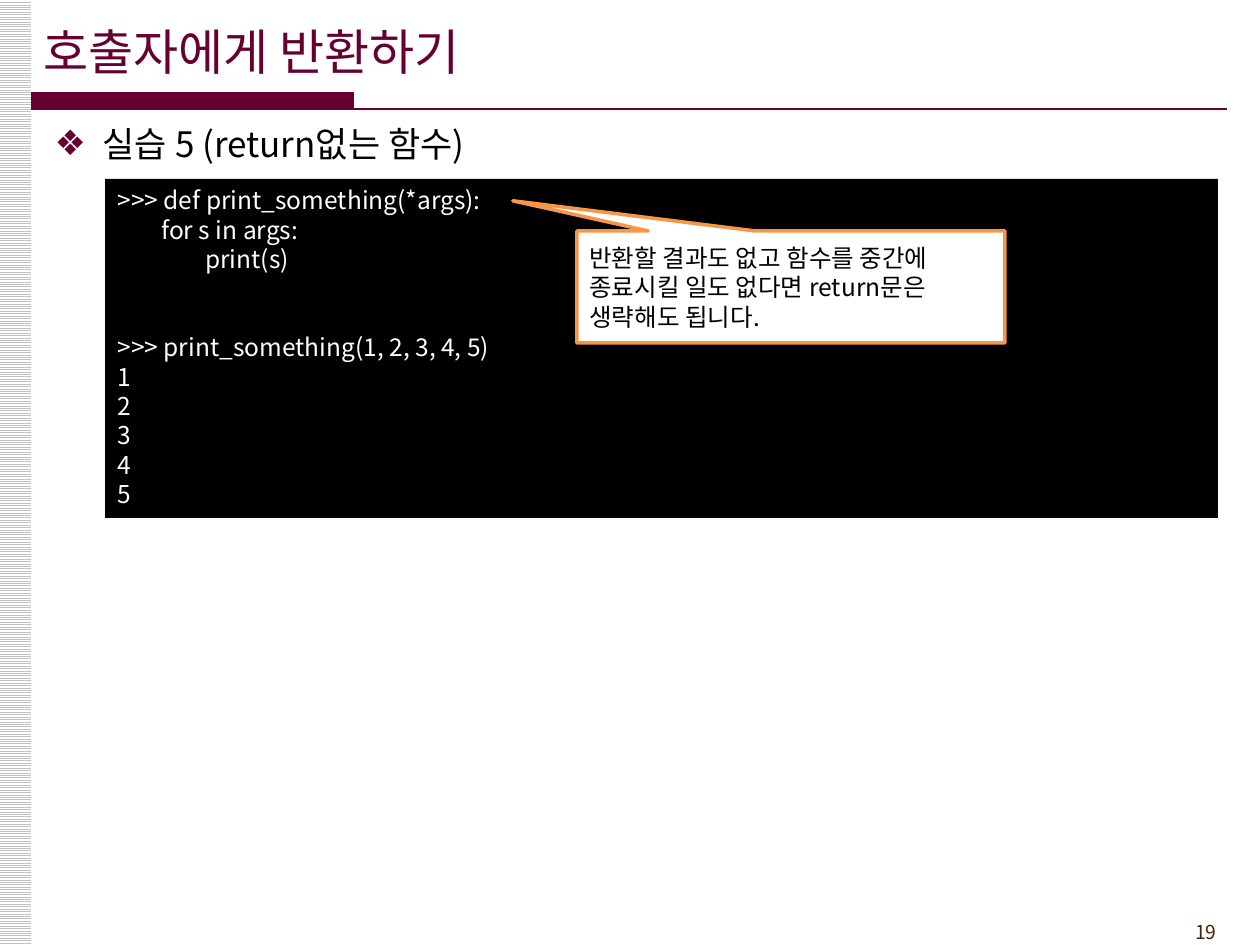
from lxml.etree import SubElement
from pptx import Presentation
from pptx.dml.color import RGBColor
from pptx.enum.dml import MSO_PATTERN
from pptx.enum.shapes import MSO_CONNECTOR, MSO_SHAPE
from pptx.enum.text import MSO_ANCHOR, MSO_AUTO_SIZE, PP_ALIGN
from pptx.oxml.ns import qn
from pptx.util import Emu, Pt

PX_PER_INCH = 126
FONT = "Noto Sans CJK KR"
LINE_HEIGHT = 1.2
WINE, ORANGE, BLACK, WHITE = "660033", "F79646", "000000", "FFFFFF"

# Each code line with the number of empty lines above it
CODE = [
    (">>> def print_something(*args):", 0),
    ("        for s in args:", 0),
    ("                print(s)", 0),
    (">>> print_something(1, 2, 3, 4, 5)", 2),
    *((str(number), 0) for number in range(1, 6)),
]


def px(length):
    return Emu(round(length * 914400 / PX_PER_INCH))


def color(hex_string):
    return RGBColor.from_string(hex_string)


def place(shape, left, top, width, height):
    shape.left, shape.top = px(left), px(top)
    shape.width, shape.height = px(width), px(height)


def write(frame, text, *, size, ink=BLACK, align=PP_ALIGN.LEFT,
          anchor=MSO_ANCHOR.TOP, lines_before=0, first=True):
    """Write one paragraph into a text frame and return it."""
    frame.word_wrap = True
    frame.auto_size = MSO_AUTO_SIZE.NONE
    frame.vertical_anchor = anchor
    para = frame.paragraphs[0] if first else frame.add_paragraph()
    para.alignment = align
    para.line_spacing = Pt(size * LINE_HEIGHT)
    para.space_before = Pt(size * LINE_HEIGHT * lines_before)
    span = para.add_run()
    span.text = text
    span.font.name, span.font.size = FONT, Pt(size)
    span.font.color.rgb = color(ink)
    SubElement(span.font._element, qn("a:ea"), typeface=FONT)
    return para


def add_bullet(para, symbol, ink, indent):
    properties = para._p.get_or_add_pPr()
    properties.set("marL", str(px(indent)))
    properties.set("indent", str(-px(indent)))
    bullet_color = SubElement(properties, qn("a:buClr"))
    SubElement(bullet_color, qn("a:srgbClr"), val=ink)
    SubElement(properties, qn("a:buChar"), char=symbol)


def add_box(page, kind, bounds, fill, outline=None):
    box = page.shapes.add_shape(kind, 0, 0, 0, 0)
    place(box, *bounds)
    box.shadow.inherit = False
    box.fill.solid()
    box.fill.fore_color.rgb = color(fill)
    if outline:
        box.line.color.rgb = color(outline)
        box.line.width = Pt(2)
    else:
        box.line.fill.background()
    return box


def add_rule(page, left, right, y, ink):
    rule = page.shapes.add_connector(
        MSO_CONNECTOR.STRAIGHT, px(left), px(y), px(right), px(y))
    rule.line.color.rgb = color(ink)
    rule.line.width = Pt(1.5)
    SubElement(rule._element.spPr, qn("a:effectLst"))


def add_frame(page):
    # Striped left margin
    margin = add_box(page, MSO_SHAPE.RECTANGLE, (-1, 0, 32, 945), WHITE)
    margin.fill.patterned()
    margin.fill.pattern = MSO_PATTERN.LIGHT_HORIZONTAL
    margin.fill.fore_color.rgb = color("C0C0C0")
    margin.fill.back_color.rgb = color(WHITE)
    # Page number
    number = page.shapes.add_textbox(px(1124), px(914), px(105), px(36))
    write(number.text_frame, "19", size=11, ink="452103", align=PP_ALIGN.RIGHT)
    # Bar and rule under the title
    add_box(page, MSO_SHAPE.RECTANGLE, (31, 92, 323, 18), WINE)
    add_rule(page, 31, 1227, 109, WINE)


def add_headings(page):
    title, body = page.placeholders[0], page.placeholders[1]
    place(title, 31, 11, 1042, 79)
    write(title.text_frame, "호출자에게 반환하기", size=28, ink=WINE,
          anchor=MSO_ANCHOR.MIDDLE)
    place(body, 42, 116, 1197, 787)
    item = write(body.text_frame, "실습 5 (return없는 함수)", size=20)
    add_bullet(item, "❖", WINE, 48)


def add_code(page):
    console = add_box(page, MSO_SHAPE.RECTANGLE, (105, 179, 1113, 339), BLACK)
    for index, (line, gap) in enumerate(CODE):
        write(console.text_frame, line, size=14, ink=WHITE,
              align=PP_ALIGN.JUSTIFY, lines_before=gap, first=index == 0)


def add_callout(page):
    callout = add_box(page, MSO_SHAPE.RECTANGULAR_CALLOUT,
                      (577, 231, 428, 112), WHITE, ORANGE)
    callout.adjustments[0] = -0.65
    callout.adjustments[1] = -0.77
    write(callout.text_frame,
          "반환할 결과도 없고 함수를 중간에 종료시킬 일도 없다면 "
          "return문은 생략해도 됩니다.",
          size=14, anchor=MSO_ANCHOR.MIDDLE)


def main():
    deck = Presentation()
    deck.slide_width, deck.slide_height = px(1260), px(945)
    page = deck.slides.add_slide(deck.slide_layouts[1])
    add_frame(page)
    add_headings(page)
    add_code(page)
    add_callout(page)
    deck.save("out.pptx")


if __name__ == "__main__":
    main()
